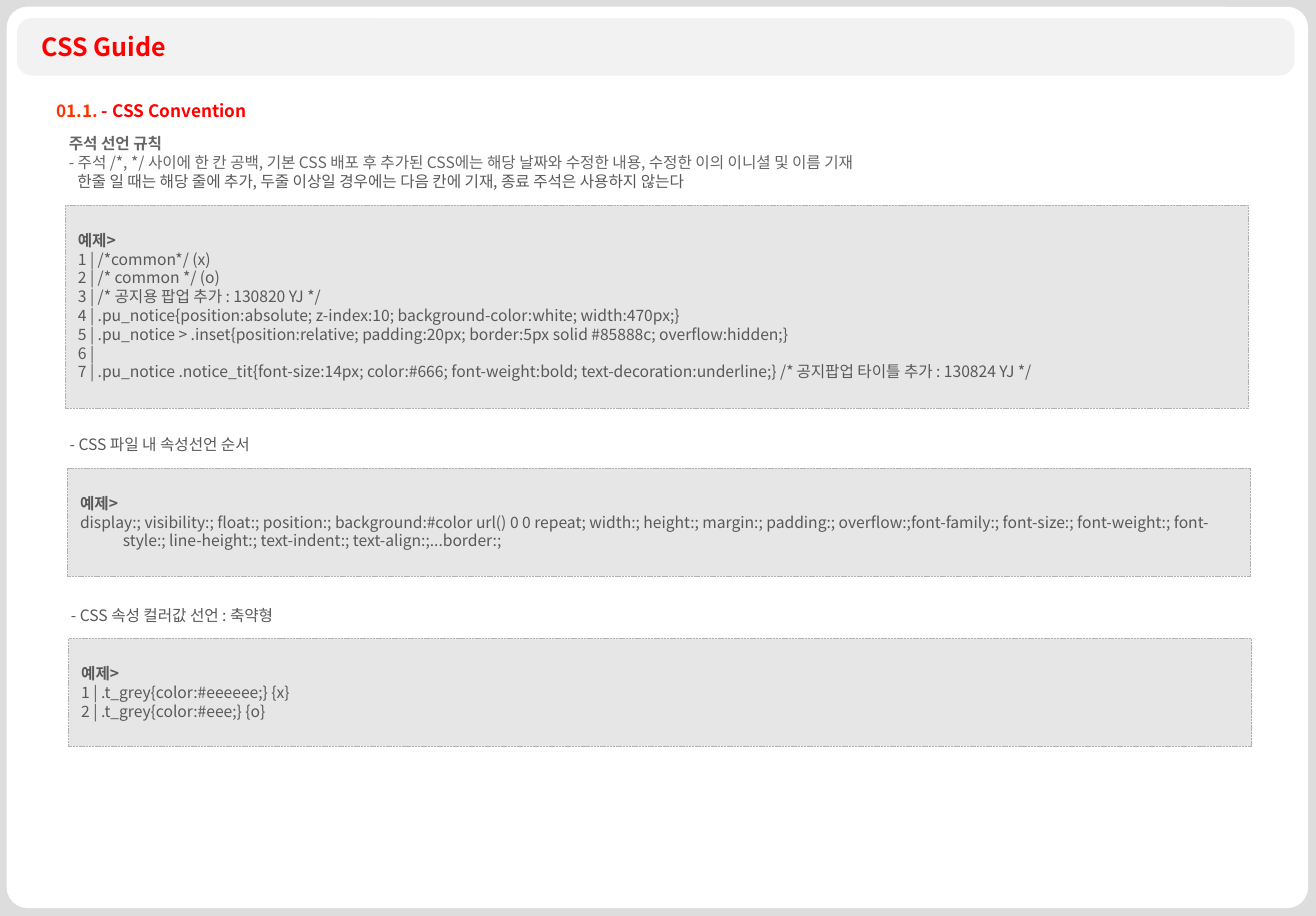
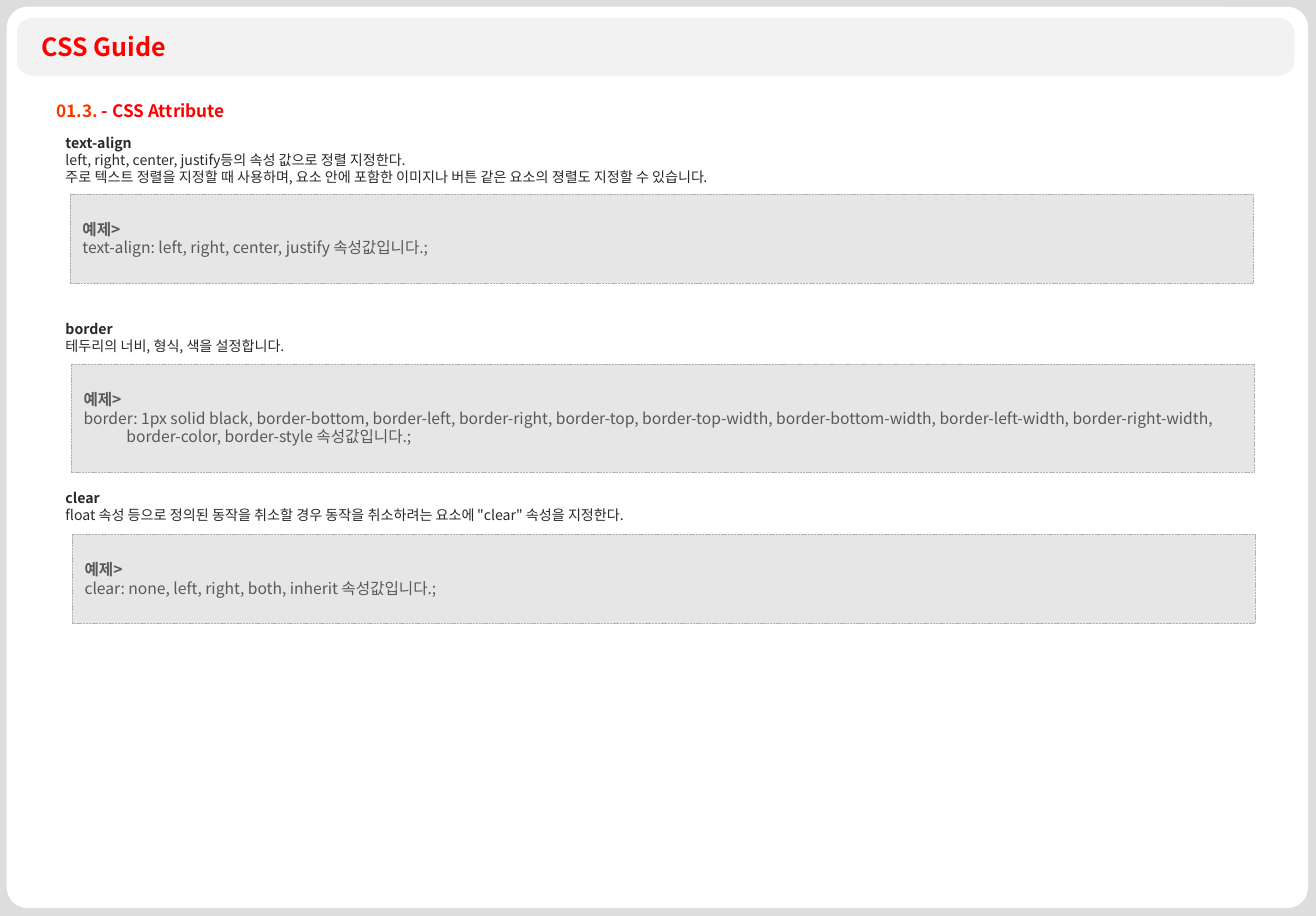
import pptx
import pptx.util
import pptx.dml.color
import pptx.enum.dml
import pptx.enum.shapes
import pptx.enum.text
import pptx.oxml.ns
import lxml.etree
from dataclasses import dataclass

Pt = pptx.util.Pt
FONT = "Noto Sans CJK KR"
RED, ORANGE = "FF0000", "FF3300"
DARK, GREY, MID = "292929", "595959", "666666"
PAGE_W, PAGE_H = 840.24, 584.64
BOX_W = 755.3
LEADING = 1.2
HANG = 27.4


def rgb(value):
    return pptx.dml.color.RGBColor.from_string(value)


@dataclass
class Line:
    text: str
    color: str = GREY
    bold: bool = False
    left: float = 0
    hang: float = 0
    before: float = 0


class Deck:
    def __init__(self):
        self.prs = pptx.Presentation()
        self.prs.slide_width, self.prs.slide_height = Pt(PAGE_W), Pt(PAGE_H)
        self.layout = self.prs.slide_layouts[1]
        self.s = None

    # Shared page frame, kept on the layout
    def frame(self):
        fill = self.layout.background.fill
        fill.solid()
        fill.fore_color.rgb = rgb("DDDDDD")
        panels = [((4.3, 4.3, 830.9, 575.3), 0.023, "FFFFFF"),
                  ((10.8, 11.5, 815.8, 36.7), 0.263, "F2F2F2")]
        for i, (at, radius, color) in enumerate(panels):
            sp = self.shape("ROUNDED_RECTANGLE", at, color)
            sp.adjustments[0] = radius
            self.layout.shapes.element.insert(2 + i, sp.element)

    def new_slide(self, number, topic):
        first = self.s is None
        self.s = self.prs.slides.add_slide(self.layout)
        if first:
            self.frame()
        self.place(self.s.shapes.title, (19.4, 16.6, 94.3, 26.6))
        self.put_text(self.s.shapes.title, [Line("CSS Guide", RED, True)], 16, wrap=False)
        self.heading(number, topic)

    def shape(self, preset, at, color):
        kind = getattr(pptx.enum.shapes.MSO_SHAPE, preset)
        sp = self.s.shapes.add_shape(kind, *map(Pt, at))
        sp.shadow.inherit = False
        sp.fill.solid()
        sp.fill.fore_color.rgb = rgb(color)
        sp.line.fill.background()
        return sp

    def place(self, sp, at):
        sp.left, sp.top, sp.width, sp.height = map(Pt, at)

    def style(self, r, size, color, bold):
        r.font.size, r.font.bold, r.font.name = Pt(size), bold, FONT
        r.font.color.rgb = rgb(color)
        ea = lxml.etree.SubElement(r._r.get_or_add_rPr(), pptx.oxml.ns.qn("a:ea"))
        ea.set("typeface", FONT)

    def put_text(self, sp, lines, size, insets=(7.2, 3.6), top=None, wrap=True):
        tf = sp.text_frame
        tf.word_wrap = wrap
        tf.auto_size = pptx.enum.text.MSO_AUTO_SIZE.NONE
        tf.vertical_anchor = pptx.enum.text.MSO_ANCHOR.TOP
        tf.margin_left = tf.margin_right = Pt(insets[0])
        tf.margin_top = Pt(insets[1] if top is None else top)
        tf.margin_bottom = Pt(insets[1])
        tf.text = "\n".join(line.text for line in lines)
        for p, line in zip(tf.paragraphs, lines):
            p.alignment = pptx.enum.text.PP_ALIGN.LEFT
            p.line_spacing = Pt(size * LEADING)
            p.space_before, p.space_after = Pt(line.before), Pt(0)
            pPr = p._p.get_or_add_pPr()
            pPr.set("marL", str(Pt(line.left + line.hang)))
            pPr.set("indent", str(-Pt(line.hang)))
            lxml.etree.SubElement(pPr, pptx.oxml.ns.qn("a:buNone"))
            for r in p.runs:
                self.style(r, size, line.color, line.bold)

    # Section heading: orange number, red topic
    def heading(self, number, topic):
        sp = self.s.shapes.add_textbox(*map(Pt, (28.8, 60.5, 136, 20.9)))
        self.put_text(sp, [Line(number, ORANGE, True)], 11, wrap=False)
        r = sp.text_frame.paragraphs[0].add_run()
        r.text = f" - {topic}"
        self.style(r, 11, RED, True)

    def body(self, at, lines, size):
        sp = self.s.placeholders[1]
        self.place(sp, at)
        self.put_text(sp, lines, size)

    def caption(self, left, top, text):
        sp = self.s.shapes.add_textbox(*map(Pt, (left, top, 761.8, 19.4)))
        self.put_text(sp, [Line(text)], 10)

    # Dashed box with a code example; the first line stays free
    def example(self, left, top, height, *code):
        sp = self.shape("RECTANGLE", (left, top, BOX_W, height), "E6E6E6")
        sp.line.color.rgb = rgb("B2B2B2")
        sp.line.width = Pt(0.5)
        sp.line.dash_style = pptx.enum.dml.MSO_LINE.SQUARE_DOT
        lines = [Line("예제>", bold=True)] + [Line(c, hang=HANG) for c in code]
        self.put_text(sp, lines, 10, insets=(7.9, 4.3), top=16.3)


def convention(deck):
    deck.new_slide("01.1.", "CSS Convention")
    deck.body((36.7, 82.1, 625.7, 43.9), [
        Line("주석 선언 규칙", MID, True),
        Line("- 주석 /*, */ 사이에 한 칸 공백, 기본 CSS 배포 후 추가된 CSS에는 해당 날짜와 수정한 내용, "
             "수정한 이의 이니셜 및 이름 기재", MID),
        Line("한줄 일 때는 해당 줄에 추가, 두줄 이상일 경우에는 다음 칸에 기재, "
             "종료 주석은 사용하지 않는다", left=5.5),
    ], 10)
    deck.example(
        41.8, 131, 129.6,
        "1 | /*common*/ (x)",
        "2 | /* common */ (o)",
        "3 | /* 공지용 팝업 추가 : 130820 YJ */",
        "4 | .pu_notice{position:absolute; z-index:10; background-color:white; width:470px;}",
        "5 | .pu_notice > .inset{position:relative; padding:20px; border:5px solid #85888c; overflow:hidden;}",
        "6 |",
        "7 | .pu_notice .notice_tit{font-size:14px; color:#666; font-weight:bold; "
        "text-decoration:underline;} /* 공지팝업 타이틀 추가 : 130824 YJ */")
    deck.caption(37.4, 274.3, "- CSS 파일 내 속성선언 순서")
    deck.example(
        43.2, 298.8, 69,
        "display:; visibility:; float:; position:; background:#color url() 0 0 repeat; width:; height:; "
        "margin:; padding:; overflow:;font-family:; font-size:; font-weight:; font-style:; "
        "line-height:; text-indent:; text-align:;...border:;")
    deck.caption(38.2, 383, "- CSS 속성 컬러값 선언 : 축약형")
    deck.example(43.9, 407.5, 69,
                 "1 | .t_grey{color:#eeeeee;} {x}",
                 "2 | .t_grey{color:#eee;} {o}")


def attribute(deck):
    deck.new_slide("01.3.", "CSS Attribute")
    gap = 86.4
    deck.body((34.6, 82.1, 733.7, 323.3), [
        Line("text-align", DARK, True),
        Line("left, right, center, justify등의 속성 값으로 정렬 지정한다.", DARK),
        Line("주로 텍스트 정렬을 지정할 때 사용하며, 요소 안에 포함한 이미지나 버튼 같은 요소의 "
             "졍렬도 지정할 수 있습니다.", DARK),
        Line("border", DARK, True, before=gap),
        Line("테두리의 너비, 형식, 색을 설정합니다.", DARK),
        Line("clear", DARK, True, before=gap),
        Line('float 속성 등으로 정의된 동작을 취소할 경우 동작을 취소하려는 요소에 "clear" 속성을 지정한다.', DARK),
    ], 9)
    examples = [
        (57, "text-align: left, right, center, justify 속성값입니다.;"),
        (69, "border: 1px solid black, border-bottom, border-left, border-right, border-top, "
             "border-top-width, border-bottom-width, border-left-width, border-right-width, "
             "border-color, border-style 속성값입니다.;"),
        (57, "clear: none, left, right, both, inherit 속성값입니다.;"),
    ]
    for i, (height, code) in enumerate(examples):
        deck.example(44.7 + 0.7 * i, 123.8 + 108.6 * i, height, code)


def main():
    deck = Deck()
    convention(deck)
    attribute(deck)
    deck.prs.save("out.pptx")


if __name__ == "__main__":
    main()
